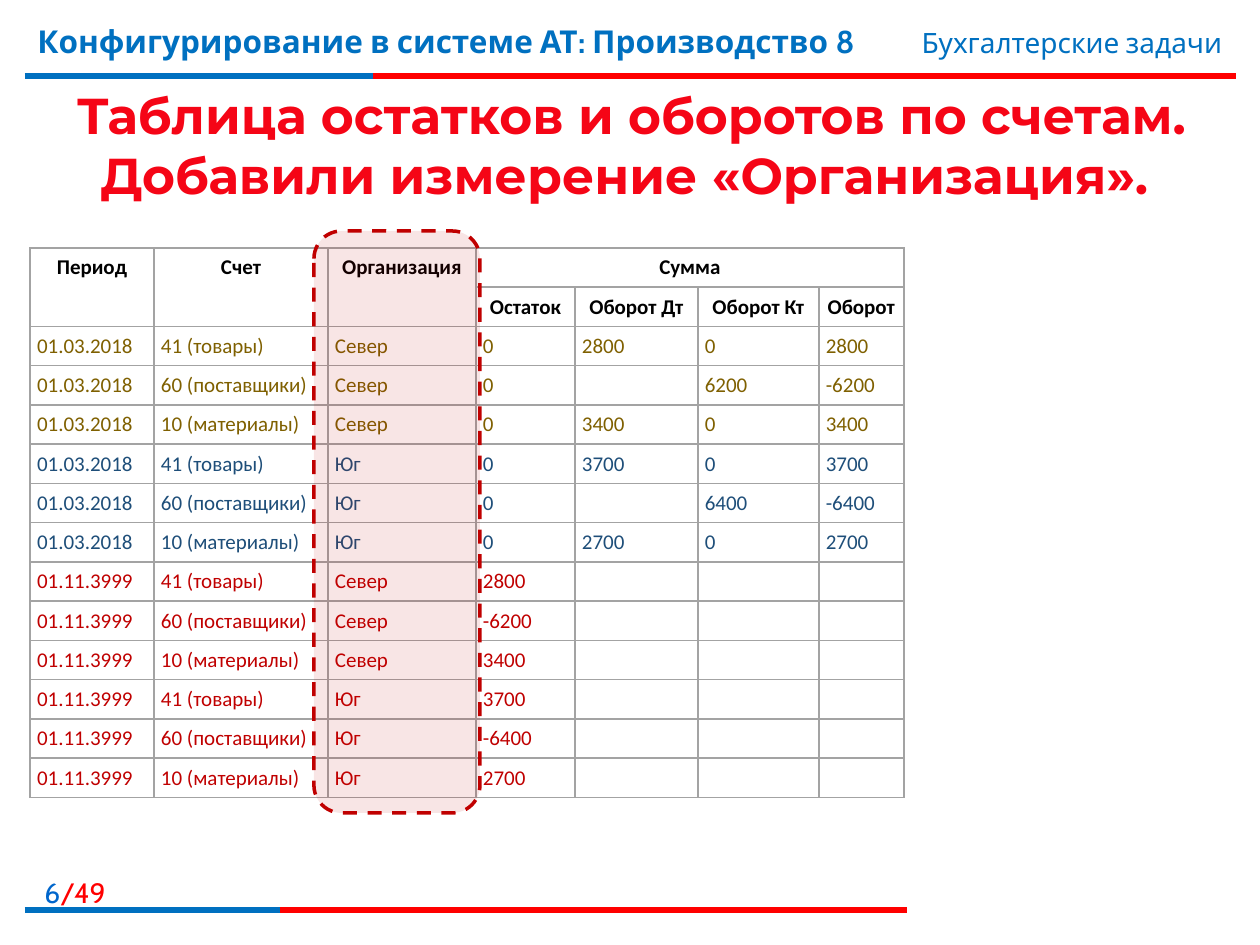
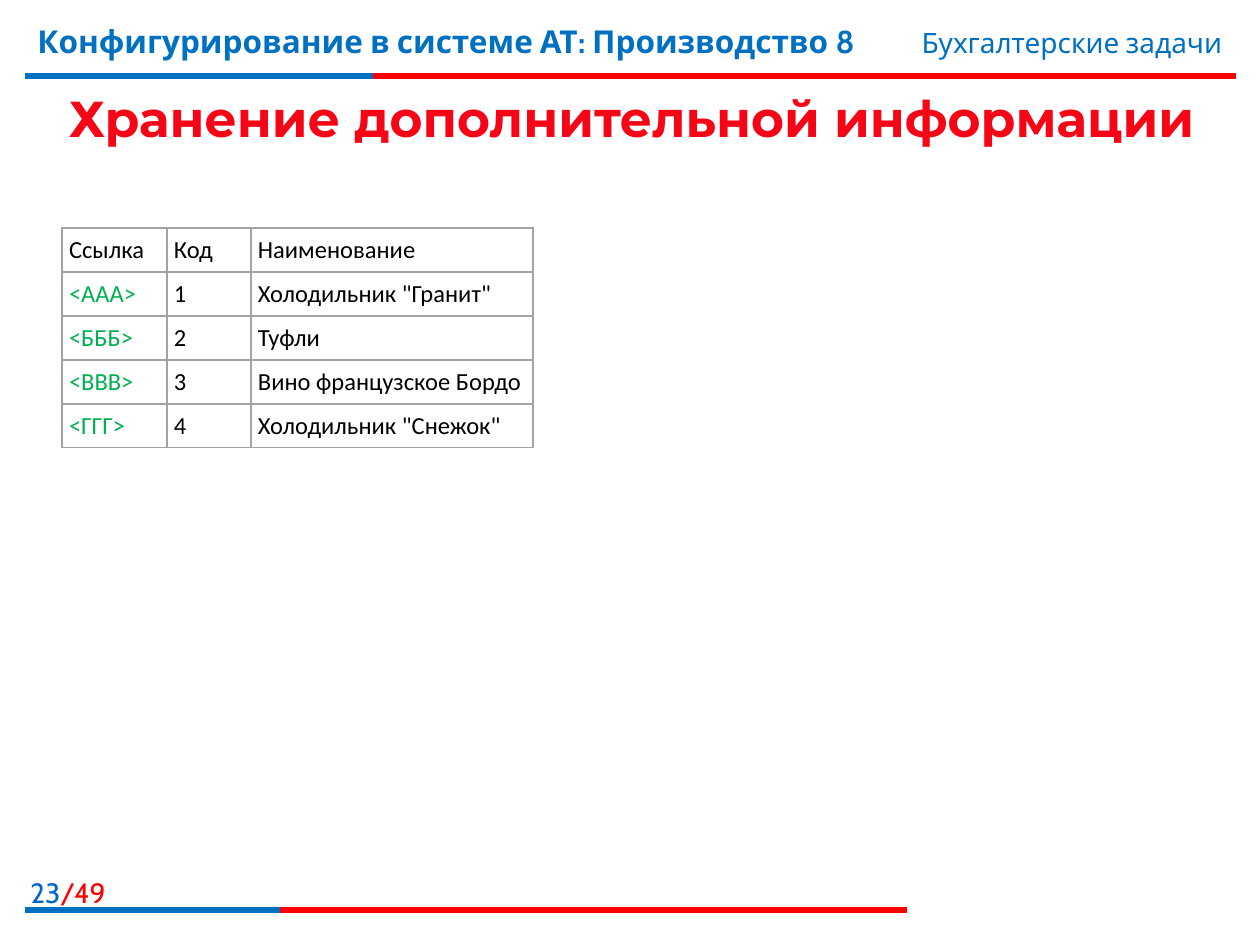
from dataclasses import dataclass

from lxml.etree import SubElement
from pptx import Presentation
from pptx.dml.color import RGBColor
from pptx.enum.dml import MSO_LINE_DASH_STYLE as Dash
from pptx.enum.shapes import MSO_CONNECTOR as Connector, MSO_SHAPE as Shape
from pptx.enum.text import MSO_ANCHOR as Anchor, MSO_AUTO_SIZE as AutoSize, PP_ALIGN as Align
from pptx.oxml.ns import qn
from pptx.util import Pt

# ---- Content ----
COURSE = "Конфигурирование в системе АТ: Производство 8"
TOPIC = "Бухгалтерские задачи"
PAGE_TOTAL = 49

BALANCE_TITLE = "Таблица остатков и оборотов по счетам.\vДобавили измерение «Организация». "
BALANCE_HEADER = [
    ["Период", "Счет", "Организация", "Сумма", "", "", ""],
    ["", "", "", "Остаток", "Оборот Дт", "Оборот Кт", "Оборот"],
]
MOVEMENTS = [
    ["01.03.2018", "41 (товары)", "Север", "0", "2800", "0", "2800"],
    ["01.03.2018", "60 (поставщики)", "Север", "0", "", "6200", "-6200"],
    ["01.03.2018", "10 (материалы)", "Север", "0", "3400", "0", "3400"],
    ["01.03.2018", "41 (товары)", "Юг", "0", "3700", "0", "3700"],
    ["01.03.2018", "60 (поставщики)", "Юг", "0", "", "6400", "-6400"],
    ["01.03.2018", "10 (материалы)", "Юг", "0", "2700", "0", "2700"],
]
# The closing balance of each account is its turnover
BALANCES = [["01.11.3999", account, firm, turnover, "", "", ""]
            for _, account, firm, *_, turnover in MOVEMENTS]

GOODS_TITLE = "Хранение дополнительной информации"
GOODS = [
    ["Ссылка", "Код", "Наименование"],
    ["<ААА>", "1", 'Холодильник "Гранит"'],
    ["<БББ>", "2", "Туфли"],
    ["<ВВВ>", "3", "Вино французское Бордо"],
    ["<ГГГ>", "4", 'Холодильник "Снежок"'],
]


# ---- Theme ----
@dataclass(frozen=True)
class Theme:
    blue: str = "0070C0"
    number_blue: str = "0066CC"
    red: str = "FF0000"
    title_red: str = "F50516"
    dark_red: str = "C00000"
    olive: str = "7F6000"
    navy: str = "1E4E79"
    green: str = "00B050"
    black: str = "000000"
    white: str = "FFFFFF"
    grid: str = "A3A3A3"
    head_font: str = "Cabin"
    title_font: str = "Montserrat"
    table_font: str = "Calibri"
    course_size: float = 18
    small_size: float = 16
    title_size: float = 28.8
    balance_size: float = 12
    goods_size: float = 14


THEME = Theme()
PX = 914400 / 126
CELL_MARGIN = 7
RULE_LEFT = 25
RULES = [  # y, red end, blue end
    (76, 1236, 373),
    (910, 907, 280),
]


def px(*lengths):
    return [round(length * PX) for length in lengths]


def rgb(code):
    return RGBColor.from_string(code)


def style(font, name, size, color, bold=False):
    font.name, font.size, font.bold = name, Pt(size), bold
    font.color.rgb = rgb(color)


# ---- Shared parts ----
def add_rule(page, y, end, color):
    rule = page.shapes.add_connector(Connector.STRAIGHT, *px(RULE_LEFT, y, end, y))
    rule.line.color.rgb = rgb(color)
    rule.line.width = Pt(3)
    SubElement(rule._element.spPr, qn("a:effectLst"))


def add_text(page, area, spans, size, align, bold=False):
    box = page.shapes.add_textbox(*px(*area))
    box.text_frame.word_wrap = True
    para = box.text_frame.paragraphs[0]
    para.alignment = align
    for text, color in spans:
        span = para.add_run()
        span.text = text
        style(span.font, THEME.head_font, size, color, bold)


def set_title(page, text, height):
    title = page.shapes.title
    title.left, title.top, title.width, title.height = px(26, 79, 1211, height)
    frame = title.text_frame
    frame.text = text
    frame.word_wrap, frame.auto_size = True, AutoSize.NONE
    frame.vertical_anchor = Anchor.MIDDLE
    para = frame.paragraphs[0]
    para.alignment = Align.CENTER
    for span in para.runs:
        style(span.font, THEME.title_font, THEME.title_size, THEME.title_red, True)
        fill = span.font.fill
        fill.gradient()
        fill.gradient_angle = 270
        shades = [(0.55, THEME.title_red), (0.86, THEME.dark_red)]
        for stop, (position, color) in zip(fill.gradient_stops, shades):
            stop.position, stop.color.rgb = position, rgb(color)
        # White outline goes ahead of the fill
        props = span.font._element
        outline = SubElement(props, qn("a:ln"), w=str(Pt(0.75)))
        SubElement(SubElement(outline, qn("a:solidFill")), qn("a:srgbClr"), val=THEME.white)
        props.insert(0, outline)


def add_page(deck, number, title, title_height):
    page = deck.slides.add_slide(deck.slide_layouts[5])
    for y, red_end, blue_end in RULES:
        add_rule(page, y, red_end, THEME.red)
        add_rule(page, y, blue_end, THEME.blue)
    add_text(page, (-13, 869, 131, 40),
             [(str(number), THEME.number_blue), (f"/{PAGE_TOTAL}", THEME.red)],
             THEME.small_size, Align.RIGHT)
    add_text(page, (25, 16, 932, 78), [(COURSE, THEME.blue)],
             THEME.course_size, Align.LEFT, True)
    add_text(page, (748, 19, 487, 47), [(TOPIC, THEME.blue)],
             THEME.small_size, Align.RIGHT)
    set_title(page, title, title_height)
    return page


# ---- Tables ----
def format_cell(cell, text, size, color, header):
    cell.margin_left, cell.margin_right, cell.margin_top, cell.margin_bottom = px(*[CELL_MARGIN] * 4)
    cell.text_frame.text = text
    para = cell.text_frame.paragraphs[0]
    para.alignment = Align.CENTER if header else Align.LEFT
    for span in para.runs:
        style(span.font, THEME.table_font, size, color, header)
    # Empty cells keep the height of the filled ones
    SubElement(para._p, qn("a:endParaRPr"), sz=str(size * 100))
    props = cell._tc.get_or_add_tcPr()
    for side in ("a:lnL", "a:lnR", "a:lnT", "a:lnB"):
        border = SubElement(props, qn(side), w=str(Pt(1)))
        SubElement(SubElement(border, qn("a:solidFill")), qn("a:srgbClr"), val=THEME.grid)
    cell.fill.background()


def add_grid(page, left, top, widths, row_height, rows, size, color_of, header_rows=0):
    height = row_height * len(rows)
    table = page.shapes.add_table(len(rows), len(widths),
                                  *px(left, top, sum(widths), height)).table
    table.first_row = table.horz_banding = False
    for column, width in zip(table.columns, px(*widths)):
        column.width = width
    for r, row in enumerate(rows):
        table.rows[r].height = px(row_height)[0]
        for c, text in enumerate(row):
            format_cell(table.cell(r, c), text, size, color_of(r, c), r < header_rows)
    return table


def balance_color(r, c):
    if r < len(BALANCE_HEADER):
        return THEME.black
    if r >= len(BALANCE_HEADER) + len(MOVEMENTS):
        return THEME.dark_red
    firm = MOVEMENTS[r - len(BALANCE_HEADER)][2]
    return THEME.olive if firm == "Север" else THEME.navy


def goods_color(r, c):
    return THEME.green if r and c == 0 else THEME.black


def add_highlight(page, area):
    frame = page.shapes.add_shape(Shape.ROUNDED_RECTANGLE, *px(*area))
    frame.shadow.inherit = False
    frame.fill.solid()
    frame.fill.fore_color.rgb = rgb(THEME.dark_red)
    tint = frame._element.spPr.find(qn("a:solidFill")).find(qn("a:srgbClr"))
    SubElement(tint, qn("a:alpha"), val="10000")
    frame.line.color.rgb = rgb(THEME.dark_red)
    frame.line.width = Pt(2)
    frame.line.dash_style = Dash.DASH


# ---- Slides ----
def main():
    deck = Presentation()
    deck.slide_width, deck.slide_height = px(1260, 945)

    page = add_page(deck, 6, BALANCE_TITLE, 131)
    table = add_grid(page, 30, 248, [124, 174, 148, 99, 123, 121, 85], 39,
                     BALANCE_HEADER + MOVEMENTS + BALANCES,
                     THEME.balance_size, balance_color, len(BALANCE_HEADER))
    for c in range(3):
        table.cell(0, c).merge(table.cell(1, c))
    table.cell(0, 3).merge(table.cell(0, 6))
    add_highlight(page, (314, 231, 166, 582))

    page = add_page(deck, 23, GOODS_TITLE, 76)
    add_grid(page, 62, 228, [105, 84, 282], 44, GOODS, THEME.goods_size, goods_color)

    deck.save("out.pptx")


if __name__ == "__main__":
    main()
